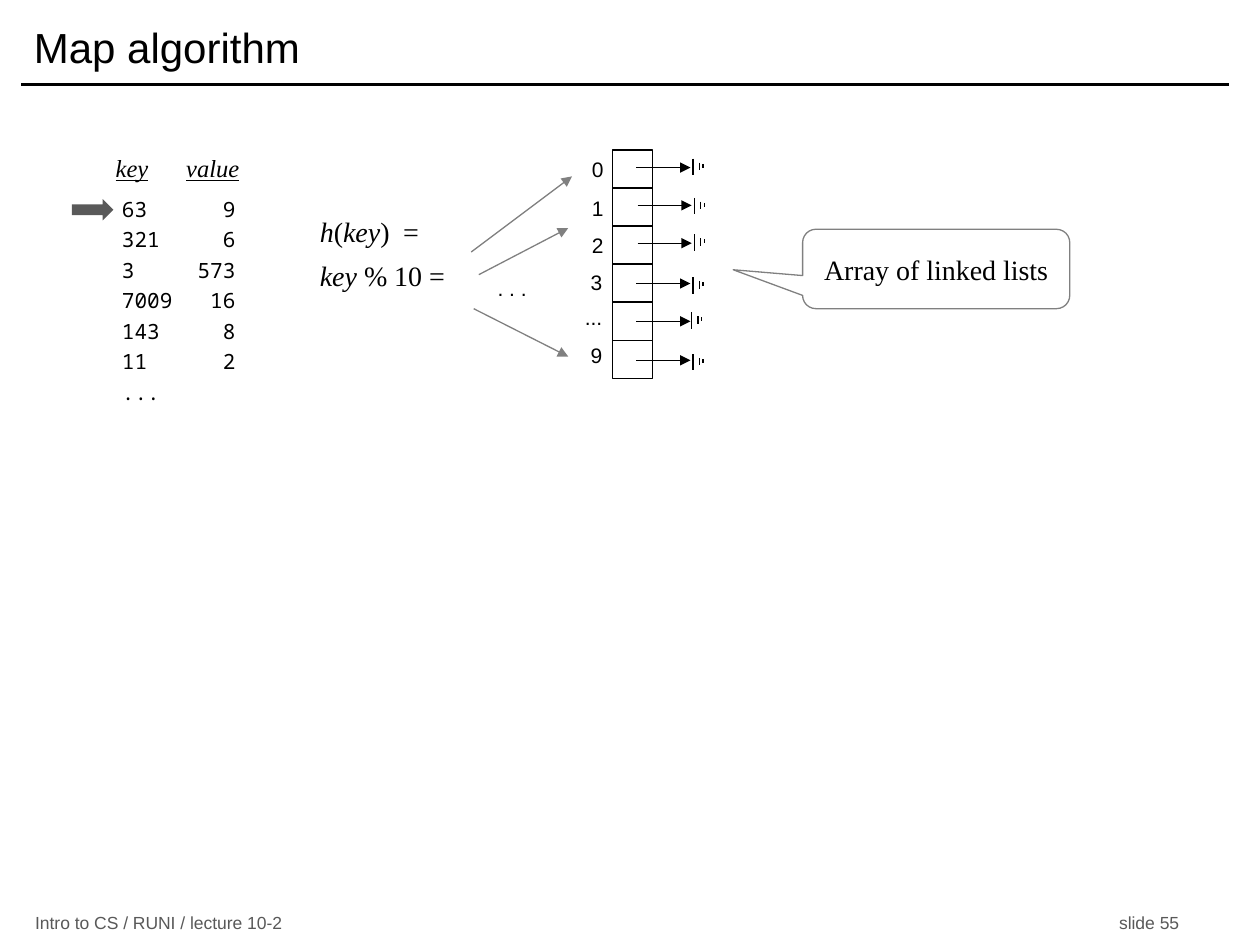
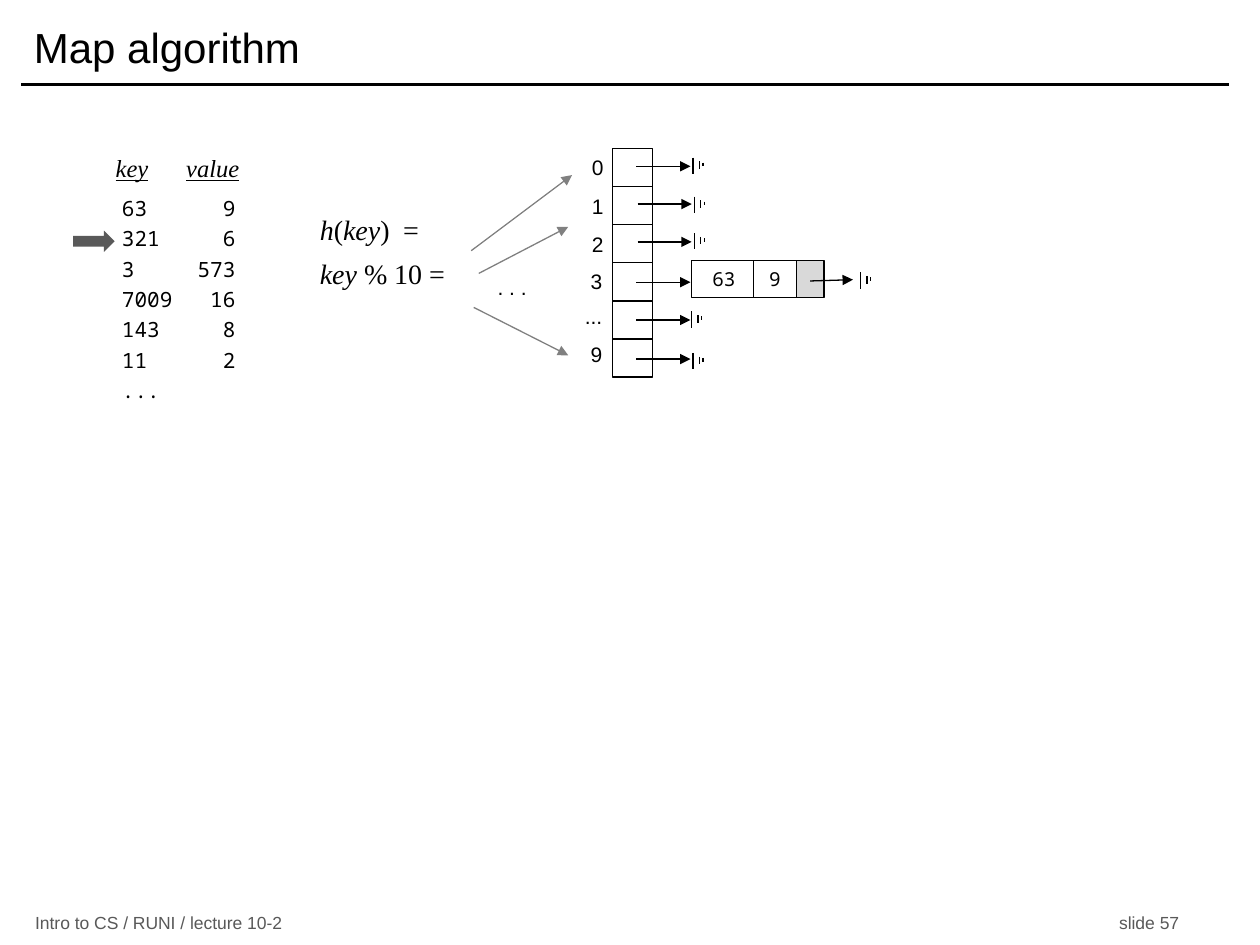
import pptx
import pptx.dml.color
import pptx.enum.dml
import pptx.enum.shapes
import pptx.enum.text
import pptx.oxml.ns
import pptx.util
import lxml.etree

Inches = pptx.util.Inches
ALIGN = pptx.enum.text.PP_ALIGN
ANCHOR = pptx.enum.text.MSO_ANCHOR
SHAPE = pptx.enum.shapes.MSO_SHAPE
qn = pptx.oxml.ns.qn

COLORS = {"ink": "000000", "muted": "595959", "pointer": "808080", "paper": "FFFFFF", "link": "D9D9D9"}
SANS, SERIF, MONO = "Arial", "Times New Roman", "Noto Sans Mono"


def write_text(slide, box, paragraphs, shape=None, font=SANS, size=12, color="ink", align=ALIGN.LEFT,
               anchor=ANCHOR.TOP, insets=(0.1, 0.1), before=0, line_spacing=None, tab=None):
    shape = shape or slide.shapes.add_textbox(*map(Inches, box))
    frame = shape.text_frame
    frame.word_wrap = True
    frame.vertical_anchor = anchor
    frame.margin_left, frame.margin_right = map(Inches, insets)
    for index, runs in enumerate(paragraphs):
        paragraph = frame.paragraphs[0] if index == 0 else frame.add_paragraph()
        paragraph.alignment = align
        paragraph.space_before = pptx.util.Pt(before if index else 0)
        if line_spacing:
            paragraph.line_spacing = line_spacing
        if tab:
            tab_list = lxml.etree.SubElement(paragraph._p.get_or_add_pPr(), qn("a:tabLst"))
            lxml.etree.SubElement(tab_list, qn("a:tab"), pos=str(Inches(tab[0])), algn=tab[1])
        for text, style in runs:
            run = paragraph.add_run()
            run.text = text
            run.font.name = font
            run.font.size = pptx.util.Pt(size)
            run.font.italic = "i" in style
            run.font.underline = "u" in style
            run.font.color.rgb = pptx.dml.color.RGBColor.from_string(COLORS[color])


def add_line(slide, start, end, color="ink", width=0.75, arrow=False):
    line = slide.shapes.add_connector(pptx.enum.shapes.MSO_CONNECTOR.STRAIGHT, *map(Inches, (*start, *end)))
    line.line.color.rgb = pptx.dml.color.RGBColor.from_string(COLORS[color])
    line.line.width = pptx.util.Pt(width)
    if arrow:
        lxml.etree.SubElement(line.line._get_or_add_ln(), qn("a:tailEnd"), type="triangle")
    lxml.etree.SubElement(line._element.spPr, qn("a:effectLst"))


entries = [("63", "9"), ("321", "6"), ("3", "573"), ("7009", "16"), ("143", "8"), ("11", "2")]
entry_lines = [[(f"{key}\t{value}", "")] for key, value in entries] + [[("...", "")]]
hash_lines = [
    [("h", "i"), ("(", ""), ("key", "i"), (")\t=", "")],
    [("key", "i"), (" % 10 =", "")],
]
hash_arrows = [((3.74, 2), (4.54, 1.4)), ((3.8, 2.18), (4.51, 1.81)), ((3.76, 2.45), (4.51, 2.83))]

bucket_top, bucket_height = 1.19, 0.302
buckets = [
    ("0", 4.37, 1.19, 5.05, 1.33, 5.5, 1.26),
    ("1", 4.37, 1.5, 5.06, 1.63, 5.51, 1.57),
    ("2", 4.37, 1.8, 5.06, 1.93, 5.51, 1.86),
    ("3", 4.36, 2.09, 5.05, 2.25, 5.5, 2.2),
    ("...", 4.36, 2.37, 5.05, 2.55, 5.49, 2.48),
    ("9", 4.36, 2.67, 5.05, 2.86, 5.5, 2.81),
]
ground_bars = [(0, 0, 0.13), (0.05, 0.03, 0.09), (0.08, 0.04, 0.07)]

callout = (SHAPE.ROUNDED_RECTANGULAR_CALLOUT, (6.37, 1.82, 2.12, 0.63), "paper", "pointer",
           "Array of linked lists", dict(font=SERIF, size=16, anchor=ANCHOR.MIDDLE))
cell_format = dict(font=MONO, size=11, insets=(0, 0))
node = [
    (SHAPE.RECTANGLE, (5.49, 2.07, 0.51, 0.29), None, "ink", "63", cell_format),
    (SHAPE.RECTANGLE, (6.31, 2.07, 0.23, 0.29), "link", "ink", "", {}),
    (SHAPE.RECTANGLE, (5.98, 2.07, 0.34, 0.29), "paper", "ink", "9", cell_format),
]
steps = [
    dict(number=55, shift=0, marker=(0.57, 1.58), extras=[callout], has_node=False),
    dict(number=57, shift=-0.01, marker=(0.58, 1.83), extras=node, has_node=True),
]

presentation = pptx.Presentation()
presentation.slide_width, presentation.slide_height = Inches(10), Inches(7.5)

for step in steps:
    slide = presentation.slides.add_slide(presentation.slide_layouts[6])
    shift = step["shift"]

    add_line(slide, (0.17, 0.67), (9.75, 0.67), width=2)
    write_text(slide, (0.17, 0.08, 9.58, 0.58), [[("Map algorithm", "")]], size=24, anchor=ANCHOR.MIDDLE)
    write_text(slide, (0.18, 7.23, 9.42, 0.19),
               [[(f"Intro to CS / RUNI / lecture 10-2\tslide {step['number']}", "")]],
               size=10, color="muted", anchor=ANCHOR.MIDDLE, tab=(9.08, "r"))

    write_text(slide, (0.82, 1.21, 3.17, 0.33), [[("key", "iu"), ("\t", "i"), ("value", "iu")]],
               font=SERIF, size=14, line_spacing=0.8, tab=(0.56, "l"))
    write_text(slide, (0.87, 1.51 + shift, 2.63, 2.44), entry_lines, font=MONO, before=3, tab=(0.9, "r"))
    write_text(slide, (2.44, 1.65 + shift, 1.25, 0.72), hash_lines, font=SERIF, size=16, before=6, tab=(0.66, "l"))
    write_text(slide, (3.76, 2.14 + shift, 0.5, 0.3), [[(". . .", "")]], align=ALIGN.RIGHT, insets=(0, 0.08))
    for (start_x, start_y), (end_x, end_y) in hash_arrows:
        add_line(slide, (start_x, start_y + shift), (end_x, end_y + shift), "pointer", arrow=True)

    marker = (SHAPE.RIGHT_ARROW, (*step["marker"], 0.33, 0.17), "muted", None, "", {})
    cells = [
        (SHAPE.RECTANGLE, (4.86, bucket_top + shift + row * bucket_height, 0.32, bucket_height), None, "ink", "", {})
        for row in range(len(buckets))
    ]
    for kind, box, fill, outline, text, text_format in [marker, *cells, *step["extras"]]:
        shape = slide.shapes.add_shape(kind, *map(Inches, box))
        shape.shadow.inherit = False
        if fill:
            shape.fill.solid()
            shape.fill.fore_color.rgb = pptx.dml.color.RGBColor.from_string(COLORS[fill])
        else:
            shape.fill.background()
        if outline:
            shape.line.color.rgb = pptx.dml.color.RGBColor.from_string(COLORS[outline])
            shape.line.width = pptx.util.Pt(0.75)
        else:
            shape.line.fill.background()
        if kind == SHAPE.ROUNDED_RECTANGULAR_CALLOUT:
            shape.adjustments[0], shape.adjustments[1] = -0.76, 0.01
        if text:
            write_text(slide, box, [[(text, "")]], shape=shape, align=ALIGN.CENTER, **text_format)

    grounds = []
    for label, label_left, label_top, arrow_left, arrow_y, ground_left, ground_top in buckets:
        write_text(slide, (label_left, label_top + shift, 0.5, 0.3), [[(label, "")]],
                   align=ALIGN.RIGHT, insets=(0, 0.08))
        add_line(slide, (arrow_left, arrow_y + shift), (arrow_left + 0.43, arrow_y + shift), arrow=True)
        if label == "3" and step["has_node"]:
            add_line(slide, (6.43, 2.23), (6.77, 2.22), arrow=True)
            grounds.append((6.83, 2.16))
        else:
            grounds.append((ground_left, ground_top + shift))
    for left, top in grounds:
        for offset, bar_top, bar_bottom in ground_bars:
            add_line(slide, (left + offset, top + bar_top), (left + offset, top + bar_bottom))

presentation.save("out.pptx")
